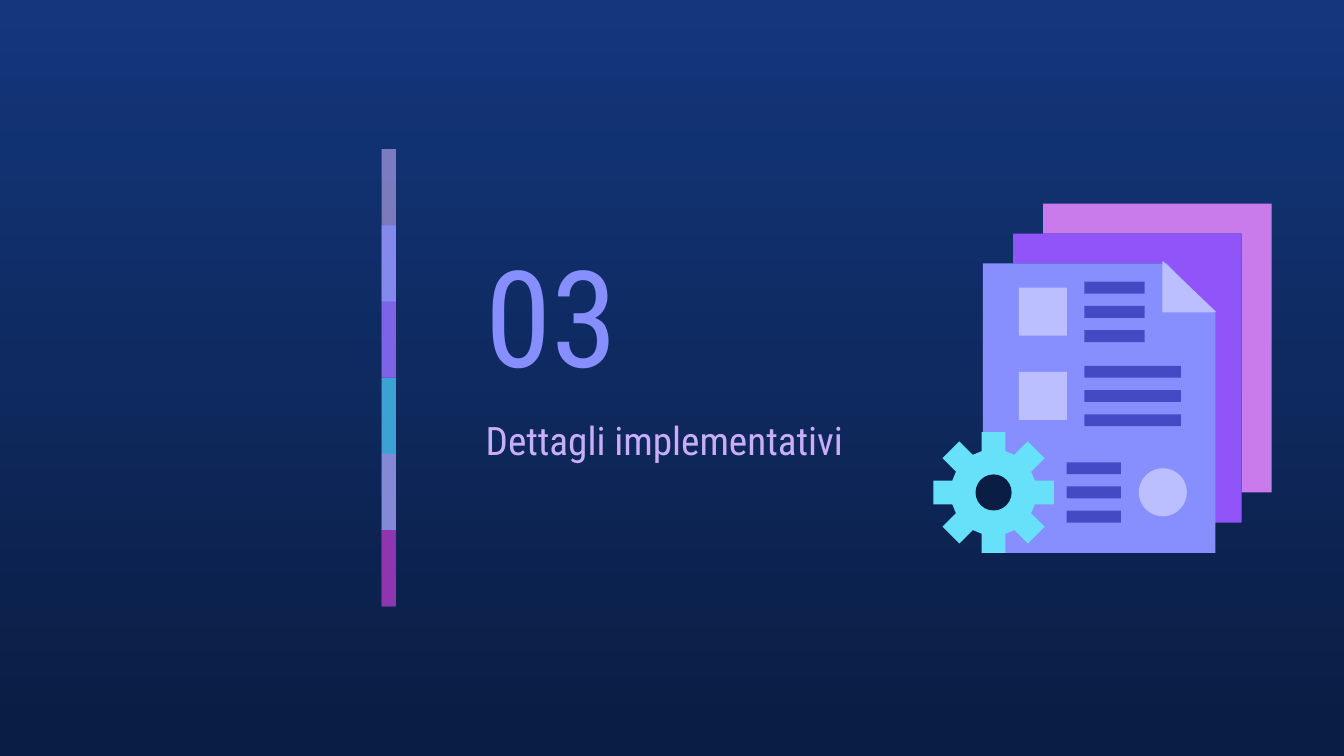
from dataclasses import dataclass
from math import cos, pi, sin

from lxml.etree import SubElement
from pptx import Presentation
from pptx.dml.color import RGBColor
from pptx.enum.shapes import MSO_SHAPE
from pptx.enum.text import MSO_ANCHOR
from pptx.oxml.ns import qn
from pptx.util import Cm, Pt

COLORS = {
    "sky": "13367C", "night": "0A1D42", "lilac": "C8AEF8", "blue": "878FFF",
    "violet": "9154F8", "teal": "35C2DF", "pink": "CA7BEB", "plum": "972CB4",
    "cyan": "67E0F9", "pale": "BBBFFF", "ink": "424BC4",
}


@dataclass
class Label:
    text: str
    box: tuple
    size: float
    color: str
    anchor: MSO_ANCHOR


@dataclass
class Outline:
    points: list
    color: str
    edged: bool = False


@dataclass
class BarGroup:
    left: float
    top: float
    width: float


@dataclass
class Segment:
    color: str
    opacity: int


def rgb(name: str) -> RGBColor:
    return RGBColor.from_string(COLORS[name])


def paint(sp, color: str, edged: bool = False) -> None:
    sp.shadow.inherit = False
    sp.fill.solid()
    sp.fill.fore_color.rgb = rgb(color)
    if edged:
        sp.line.color.rgb = rgb(color)
        sp.line.width = Pt(0.75)
    else:
        sp.line.fill.background()


def add_block(s, kind: MSO_SHAPE, box: tuple, color: str):
    sp = s.shapes.add_shape(kind, *(Cm(v) for v in box))
    paint(sp, color)
    return sp


def add_outline(s, outline: Outline) -> None:
    points = [(Cm(x), Cm(y)) for x, y in outline.points]
    builder = s.shapes.build_freeform(*points[0], scale=1.0)
    builder.add_line_segments(points[1:], close=True)
    paint(builder.convert_to_shape(), outline.color, outline.edged)


def add_label(s, label: Label) -> None:
    tf = s.shapes.add_textbox(*(Cm(v) for v in label.box)).text_frame
    frame_format = {"word_wrap": True, "vertical_anchor": label.anchor}
    frame_format |= {f"margin_{side}": Cm(0.33) for side in ("left", "right", "top", "bottom")}
    for name, value in frame_format.items():
        setattr(tf, name, value)
    r = tf.paragraphs[0].add_run()
    r.text = label.text
    for name, value in {"name": "Roboto Condensed", "size": Pt(label.size)}.items():
        setattr(r.font, name, value)
    r.font.color.rgb = rgb(label.color)


def gear_points(cx: float, cy: float, teeth: int = 8) -> list:
    root, tip, half = 1.04, 1.52, 0.3
    points = []
    for i in range(teeth):
        a = 2 * pi * i / teeth
        for out, side in ((root, -half), (tip, -half), (tip, half), (root, half)):
            points.append((cx + out * cos(a) - side * sin(a),
                           cy + out * sin(a) + side * cos(a)))
    return points


LABELS = [
    Label("03", (11.91, 5.61, 5.92, 4.57), 96, "blue", MSO_ANCHOR.MIDDLE),
    Label("Dettagli implementativi", (11.91, 10.16, 9.7, 3.25), 28, "lilac", MSO_ANCHOR.TOP),
]
GEAR_X, GEAR_Y, HOLE = 25.04, 12.41, 0.91
SHEETS = [
    Outline([(26.29, 5.13), (26.29, 5.89), (31.29, 5.89), (31.29, 12.41),
             (32.05, 12.41), (32.05, 5.13)], "pink"),
    Outline([(25.53, 5.89), (25.53, 6.64), (29.31, 6.64), (30.53, 7.85),
             (30.53, 13.17), (31.29, 13.17), (31.29, 5.89)], "violet"),
    Outline([(24.77, 6.64), (24.77, 13.93), (30.63, 13.93), (30.63, 7.9),
             (29.41, 6.64)], "blue"),
]
GEAR = Outline(gear_points(GEAR_X, GEAR_Y), "cyan")
FOLD = Outline([(29.31, 6.6), (29.31, 7.86), (30.63, 7.86)], "pale", True)
TILE = 1.21
TILES = [
    (MSO_SHAPE.RECTANGLE, 25.68, 7.25),
    (MSO_SHAPE.RECTANGLE, 25.68, 9.37),
    (MSO_SHAPE.OVAL, 28.7, 11.8),
]
BAR_GROUPS = [
    BarGroup(27.33, 7.1, 1.52),
    BarGroup(27.33, 9.22, 2.43),
    BarGroup(26.88, 11.65, 1.37),
]
BAR_HEIGHT, BAR_STEP = 0.3, 0.61
SEGMENTS = [
    Segment("lilac", 59), Segment("blue", 74), Segment("violet", 53),
    Segment("teal", 76), Segment("pink", 56), Segment("plum", 74),
]
SEGMENT_STEP = 1.92


def main() -> None:
    prs = Presentation()
    prs.slide_width, prs.slide_height = Cm(33.87), Cm(19.05)
    s = prs.slides.add_slide(prs.slide_layouts[6])

    # Background gradient, top to bottom
    fill = s.background.fill
    fill.gradient()
    fill.gradient_angle = 270
    for stop, color in zip(fill.gradient_stops, ("sky", "night")):
        stop.color.rgb = rgb(color)

    # Section number and title
    for label in LABELS:
        add_label(s, label)

    # Stacked sheets and gear
    for outline in SHEETS + [GEAR]:
        add_outline(s, outline)
    hole_box = (GEAR_X - HOLE / 2, GEAR_Y - HOLE / 2, HOLE, HOLE)
    add_block(s, MSO_SHAPE.OVAL, hole_box, "night")

    # Content of the front sheet
    for kind, left, top in TILES:
        add_block(s, kind, (left, top, TILE, TILE), "pale")
    for group in BAR_GROUPS:
        for i in range(3):
            box = (group.left, group.top + i * BAR_STEP, group.width, BAR_HEIGHT)
            add_block(s, MSO_SHAPE.RECTANGLE, box, "ink")
    add_outline(s, FOLD)

    # Translucent stripe: each segment runs on under the next one
    for i, segment in enumerate(SEGMENTS):
        steps = min(2, len(SEGMENTS) - i)
        box = (9.62, 3.76 + i * SEGMENT_STEP, 0.36, steps * SEGMENT_STEP)
        sp = add_block(s, MSO_SHAPE.RECTANGLE, box, segment.color)
        clr = sp.fill._xPr.find(qn("a:solidFill"))[0]
        SubElement(clr, qn("a:alpha")).set("val", str(segment.opacity * 1000))

    prs.save("out.pptx")


if __name__ == "__main__":
    main()
